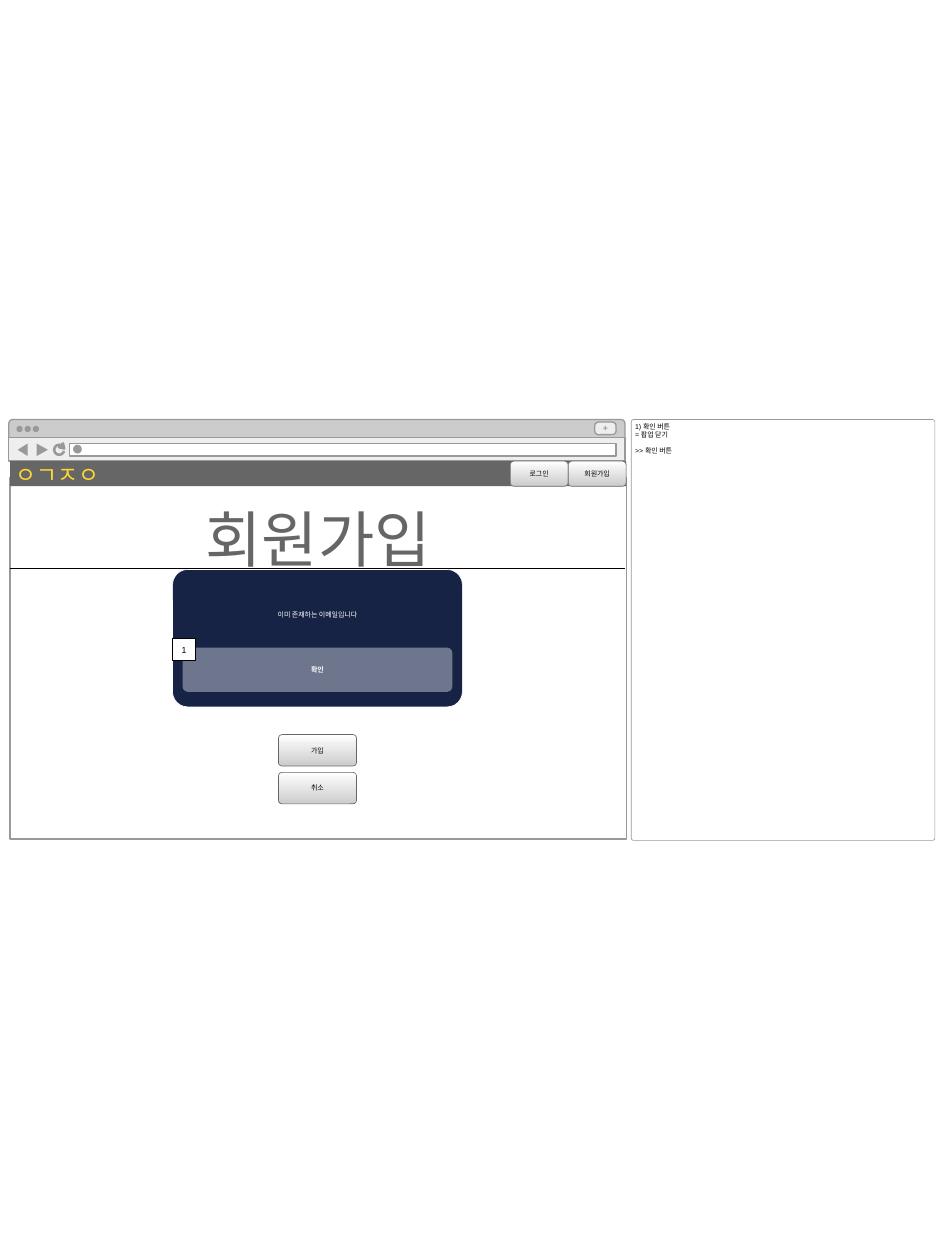
from pptx import Presentation
from pptx.dml.color import RGBColor
from pptx.enum.shapes import MSO_CONNECTOR, MSO_SHAPE
from pptx.enum.text import MSO_ANCHOR, PP_ALIGN
from pptx.oxml.ns import qn
from pptx.util import Inches, Pt

RECT, ROUND = MSO_SHAPE.RECTANGLE, MSO_SHAPE.ROUNDED_RECTANGLE
OVAL, ARC = MSO_SHAPE.OVAL, MSO_SHAPE.ARC
STRAIGHT = MSO_CONNECTOR.STRAIGHT
LEFT, CENTER = PP_ALIGN.LEFT, PP_ALIGN.CENTER
TOP, MIDDLE = MSO_ANCHOR.TOP, MSO_ANCHOR.MIDDLE

GRAY, DARK, LIGHT, PALE = "999999", "666666", "CCCCCC", "EEEEEE"
WHITE, BLACK, NAVY, SLATE, YELLOW = "FFFFFF", "000000", "162344", "6D768D", "FDD735"
THIN, FRAME = 0.37, 0.75


def rgb(color):
    return RGBColor.from_string(color)


def paint(sp, fill=None, line=None, width=FRAME):
    sp.shadow.inherit = False
    if fill:
        sp.fill.solid()
        sp.fill.fore_color.rgb = rgb(fill)
    else:
        sp.fill.background()
    if line:
        sp.line.color.rgb = rgb(line)
        sp.line.width = Pt(width)
    else:
        sp.line.fill.background()


def add_box(s, kind, x, y, w, h, fill=None, line=None, width=FRAME, radius=None):
    sp = s.shapes.add_shape(kind, Inches(x), Inches(y), Inches(w), Inches(h))
    paint(sp, fill, line, width)
    if radius:
        sp.adjustments[0] = radius / min(w, h)
    return sp


def write(sp, lines, size, color=BLACK, font="Arial", bold=False, align=CENTER, anchor=MIDDLE):
    tf = sp.text_frame
    tf.word_wrap = True
    tf.margin_left = tf.margin_right = tf.margin_top = tf.margin_bottom = 0
    tf.vertical_anchor = anchor
    tf.text = "\n".join(lines)
    for p in tf.paragraphs:
        p.alignment = align
        for r in p.runs:
            r.font.size = Pt(size)
            r.font.name = font
            r.font.bold = bold
            r.font.color.rgb = rgb(color)
    return tf


def add_label(s, x, y, w, h, lines, size, **style):
    box = s.shapes.add_textbox(Inches(x), Inches(y), Inches(w), Inches(h))
    return write(box, lines, size, **style)


def add_button(s, x, y, w, h, text):
    sp = add_box(s, ROUND, x, y, w, h, WHITE, DARK, THIN, radius=0.03)
    sp.fill.gradient()
    sp.fill.gradient_angle = 270
    for stop, color in zip(sp.fill.gradient_stops, (WHITE, LIGHT)):
        stop.color.rgb = rgb(color)
    write(sp, [text], 4)


def add_polygon(s, points, line=None, width=FRAME):
    pts = [(Inches(x), Inches(y)) for x, y in points]
    builder = s.shapes.build_freeform(*pts[0])
    builder.add_line_segments(pts[1:], close=True)
    paint(builder.convert_to_shape(), GRAY, line, width)


def add_rule(s, x1, x2, y):
    line = s.shapes.add_connector(STRAIGHT, Inches(x1), Inches(y), Inches(x2), Inches(y))
    line.line.color.rgb = rgb(BLACK)
    line.line.width = Pt(THIN)
    sp_pr = line._element.spPr
    sp_pr.append(sp_pr.makeelement(qn("a:effectLst"), {}))


def add_browser(s):
    # Window frame and tab bar
    add_box(s, ROUND, 0.07, 3.33, 4.89, 0.24, LIGHT, GRAY, radius=0.03)
    add_box(s, RECT, 0.08, 3.79, 4.89, 2.87, WHITE, GRAY)
    tab = add_box(s, ROUND, 4.72, 3.35, 0.17, 0.1, PALE, GRAY, radius=0.03)
    write(tab, ["+"], 5, color=GRAY, bold=True)
    for i in range(3):
        add_box(s, OVAL, 0.13 + i * 0.065, 3.38, 0.05, 0.05, GRAY)

    # Navigation bar
    add_box(s, RECT, 0.07, 3.47, 4.89, 0.19, PALE, GRAY)
    for tip, base in ((0.14, 0.22), (0.38, 0.29)):
        add_polygon(s, [(tip, 3.57), (base, 3.52), (base, 3.62)])
    add_box(s, RECT, 0.55, 3.52, 4.34, 0.1, WHITE, GRAY)
    add_box(s, OVAL, 0.58, 3.53, 0.07, 0.07, GRAY)

    # Reload icon; arc angles are held in units of 0.6 per degree
    reload = add_box(s, ARC, 0.43, 3.53, 0.08, 0.08, None, GRAY, 1.47)
    reload.adjustments[0] = 15 * 0.6
    reload.adjustments[1] = 340 * 0.6
    add_polygon(s, [(0.51, 3.56), (0.47, 3.55), (0.5, 3.52)], GRAY, 1.47)


def add_notes_panel(s):
    add_box(s, ROUND, 5.01, 3.33, 2.41, 3.34, WHITE, GRAY, THIN, radius=0.02)
    tf = add_label(s, 5.04, 3.35, 2.36, 0.27, ["1) 확인 버튼", "= 팝업 닫기", ">> 확인 버튼"],
                   4, align=LEFT, anchor=TOP)
    tf.paragraphs[2].space_before = Pt(4.5)


def add_page(s):
    # Form buttons
    for y, text in ((5.83, "가입"), (6.13, "취소")):
        add_button(s, 2.21, y, 0.62, 0.25, text)

    # Header and title
    add_rule(s, 0.08, 4.96, 4.51)
    add_box(s, RECT, 0.08, 3.66, 4.89, 0.2, DARK)
    add_label(s, 0.08, 3.66, 0.75, 0.22, ["ㅇㄱㅈㅇ"], 13, color=YELLOW, font="Cambria", anchor=TOP)
    for i, text in enumerate(("로그인", "회원가입")):
        add_button(s, 4.05 + i * 0.46, 3.66, 0.46, 0.2, text)
    add_label(s, 0.08, 3.98, 4.89, 0.58, ["회원가입"], 35, color=DARK, font="Cambria", anchor=TOP)


def add_popup(s):
    add_box(s, ROUND, 1.37, 4.52, 2.3, 1.09, NAVY, WHITE, THIN, radius=0.12)
    confirm = add_box(s, ROUND, 1.45, 5.14, 2.14, 0.35, SLATE, radius=0.04)
    write(confirm, ["확인"], 4, color=WHITE, bold=True)
    add_label(s, 1.47, 4.84, 2.1, 0.07, ["이미 존재하는 이메일입니다"], 4, color=WHITE)
    marker = add_box(s, RECT, 1.37, 5.07, 0.18, 0.17, WHITE, BLACK, THIN)
    write(marker, ["1"], 5)


def main():
    prs = Presentation()
    prs.slide_width, prs.slide_height = Inches(7.5), Inches(10)
    s = prs.slides.add_slide(prs.slide_layouts[6])
    add_browser(s)
    add_notes_panel(s)
    add_page(s)
    add_popup(s)
    prs.save("out.pptx")


if __name__ == "__main__":
    main()
